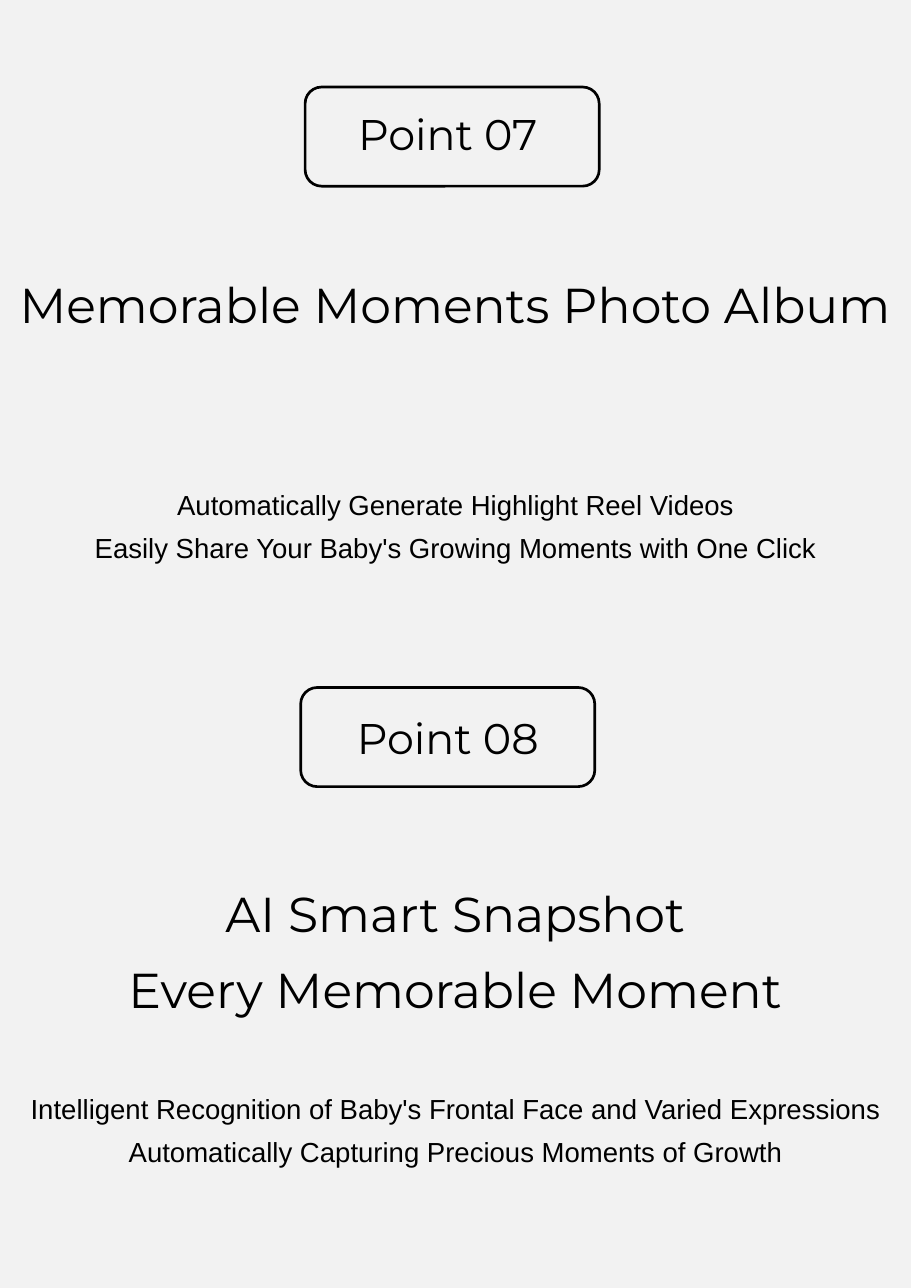
from pptx import Presentation
from pptx.dml.color import RGBColor
from pptx.enum.shapes import MSO_SHAPE
from pptx.enum.text import MSO_ANCHOR, PP_ALIGN
from pptx.util import Emu, Pt

ROUNDED = MSO_SHAPE.ROUNDED_RECTANGLE
CENTER = PP_ALIGN.CENTER
TOP, MIDDLE = MSO_ANCHOR.TOP, MSO_ANCHOR.MIDDLE

EMU_PER_PX = 9144  # 100 px to the inch
PAGE_WIDTH, PAGE_HEIGHT = 827, 1169
BADGE_WIDTH, BADGE_HEIGHT = 267, 90
BLACK, LIGHT_GREY = "000000", "F2F2F2"
HEADING_FONT, BODY_FONT = "Montserrat", "Arial"


def px(*lengths):
    return [Emu(length * EMU_PER_PX) for length in lengths]


def color(value):
    return RGBColor.from_string(value)


def add_text(page, bounds, lines, size, font, spacing=1.0, anchor=TOP):
    box = page.shapes.add_textbox(*px(*bounds))
    frame = box.text_frame
    frame.word_wrap = True
    frame.vertical_anchor = anchor
    frame.text = "\n".join(lines)
    for para in frame.paragraphs:
        para.alignment = CENTER
        para.line_spacing = spacing
        for span in para.runs:
            span.font.size = Pt(size)
            span.font.name = font
            span.font.color.rgb = color(BLACK)


def add_badge(page, label, label_at, outline_at):
    outline = page.shapes.add_shape(ROUNDED, *px(*outline_at, BADGE_WIDTH, BADGE_HEIGHT))
    outline.shadow.inherit = False
    outline.fill.background()
    outline.line.color.rgb = color(BLACK)
    outline.line.width = Pt(1.75)
    add_text(page, (*label_at, BADGE_WIDTH, BADGE_HEIGHT), [label], 28, HEADING_FONT, anchor=MIDDLE)


def add_heading(page, top, height, lines, spacing):
    add_text(page, (0, top, PAGE_WIDTH, height), lines, 32, HEADING_FONT, spacing)


def add_body(page, top, lines):
    add_text(page, (0, top, PAGE_WIDTH, 89), lines, 18, BODY_FONT, 1.3)


def main():
    deck = Presentation()
    deck.slide_width, deck.slide_height = px(PAGE_WIDTH, PAGE_HEIGHT)
    page = deck.slides.add_slide(deck.slide_layouts[6])
    page.background.fill.solid()
    page.background.fill.fore_color.rgb = color(LIGHT_GREY)

    # Point 07: photo album
    add_badge(page, "Point 07", (273, 76), (277, 79))
    add_heading(page, 218, 172, ["Memorable Moments Photo Album"], 1.5)
    add_body(page, 429, [
        "Automatically Generate Highlight Reel Videos",
        "Easily Share Your Baby's Growing Moments with One Click",
    ])

    # Point 08: smart snapshot
    add_badge(page, "Point 08", (273, 624), (273, 624))
    add_heading(page, 781, 150, ["AI Smart Snapshot", "Every Memorable Moment"], 1.3)
    add_body(page, 977, [
        "Intelligent Recognition of Baby's Frontal Face and Varied Expressions "
        "Automatically Capturing Precious Moments of Growth",
    ])

    deck.save("out.pptx")


if __name__ == "__main__":
    main()
